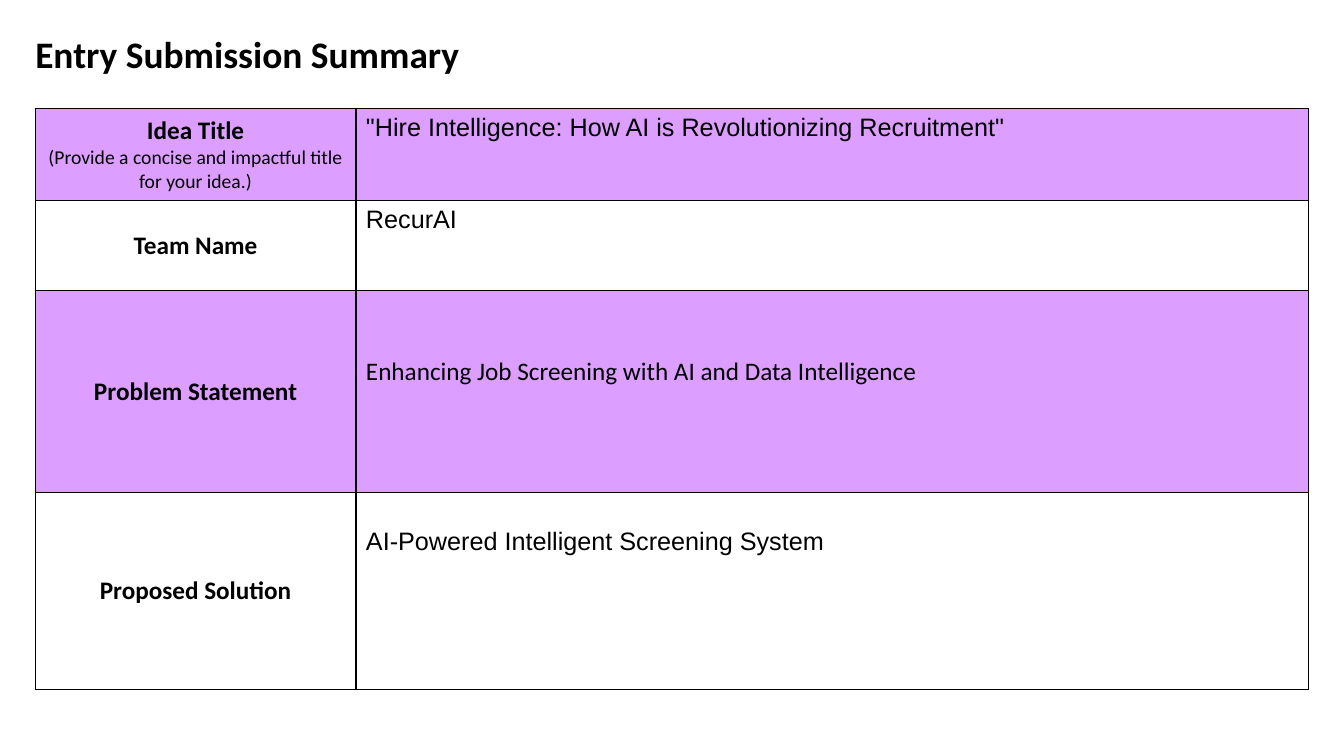
from dataclasses import dataclass

from lxml import etree
from pptx import Presentation
from pptx import util as u
from pptx.dml.color import RGBColor
from pptx.enum import text
from pptx.oxml import ns

BLACK, WHITE, LILAC = "000000", "FFFFFF", "DD9FFF"
COLUMN_WIDTHS = (3.18, 9.45)
CELL_MARGIN = 0.05


@dataclass
class EntryRow:
    label: str
    answer: str
    height: float
    answer_font: str = "Arial"
    answer_offset: float = 0


ENTRY_ROWS = [
    EntryRow("Idea Title\v(Provide a concise and impactful title for your idea.)",
             '"Hire Intelligence: How AI is Revolutionizing Recruitment"', 0.91),
    EntryRow("Team Name", "RecurAI", 0.89),
    EntryRow("Problem Statement", "Enhancing Job Screening with AI and Data Intelligence",
             2.01, "Calibri", 0.61),
    EntryRow("Proposed Solution", "AI-Powered Intelligent Screening System", 1.95,
             answer_offset=0.3),
]


def color(value: str) -> RGBColor:
    return RGBColor.from_string(value)


def format_run(run, font: str, size: float, bold: bool = False) -> None:
    run.font.name = font
    run.font.size = u.Pt(size)
    run.font.bold = bold
    run.font.color.rgb = color(BLACK)


def style_cell(cell, fill: str) -> None:
    properties = cell._tc.get_or_add_tcPr()
    for side in ("lnL", "lnR", "lnT", "lnB"):
        line = etree.SubElement(properties, ns.qn(f"a:{side}"), w=str(u.Pt(1)))
        solid = etree.SubElement(line, ns.qn("a:solidFill"))
        etree.SubElement(solid, ns.qn("a:srgbClr"), val=BLACK)
    cell.fill.solid()
    cell.fill.fore_color.rgb = color(fill)


def add_title(slide) -> None:
    title = slide.shapes.title
    title.left, title.top = u.Inches(0.35), u.Inches(0.39)
    title.width, title.height = u.Inches(12.29), u.Inches(0.93)
    frame = title.text_frame
    frame.text = "Entry Submission Summary"
    frame.auto_size = text.MSO_AUTO_SIZE.NONE
    frame.word_wrap = True
    frame.vertical_anchor = text.MSO_ANCHOR.TOP
    frame.margin_left = frame.margin_top = frame.margin_bottom = 0
    frame.margin_right = u.Inches(0.13)
    paragraph = frame.paragraphs[0]
    paragraph.alignment = text.PP_ALIGN.LEFT
    paragraph.line_spacing = 0.8
    format_run(paragraph.runs[0], "Calibri", 26.7, True)


def fill_row(table, index: int, entry: EntryRow) -> None:
    table.rows[index].height = u.Inches(entry.height)
    label, answer = table.cell(index, 0), table.cell(index, 1)
    for cell in (label, answer):
        style_cell(cell, WHITE if index % 2 else LILAC)

    label.vertical_anchor = text.MSO_ANCHOR.MIDDLE
    label.text_frame.text = entry.label
    paragraph = label.text_frame.paragraphs[0]
    paragraph.alignment = text.PP_ALIGN.CENTER
    heading, *hints = paragraph.runs
    format_run(heading, "Calibri", 18, True)
    for hint in hints:
        format_run(hint, "Calibri", 14)

    answer.margin_top = u.Inches(CELL_MARGIN + entry.answer_offset)
    answer.text_frame.text = entry.answer
    format_run(answer.text_frame.paragraphs[0].runs[0], entry.answer_font, 18)


def add_entry_table(slide) -> None:
    height = sum(entry.height for entry in ENTRY_ROWS)
    table = slide.shapes.add_table(
        len(ENTRY_ROWS), len(COLUMN_WIDTHS), u.Inches(0.35), u.Inches(1.08),
        u.Inches(sum(COLUMN_WIDTHS)), u.Inches(height)).table
    table.first_row = table.horz_banding = False
    for column, width in zip(table.columns, COLUMN_WIDTHS):
        column.width = u.Inches(width)
    for index, entry in enumerate(ENTRY_ROWS):
        fill_row(table, index, entry)


def main() -> None:
    presentation = Presentation()
    presentation.slide_width = u.Inches(13.33)
    presentation.slide_height = u.Inches(7.5)
    slide = presentation.slides.add_slide(presentation.slide_layouts[5])
    add_title(slide)
    add_entry_table(slide)
    presentation.save("out.pptx")


if __name__ == "__main__":
    main()
